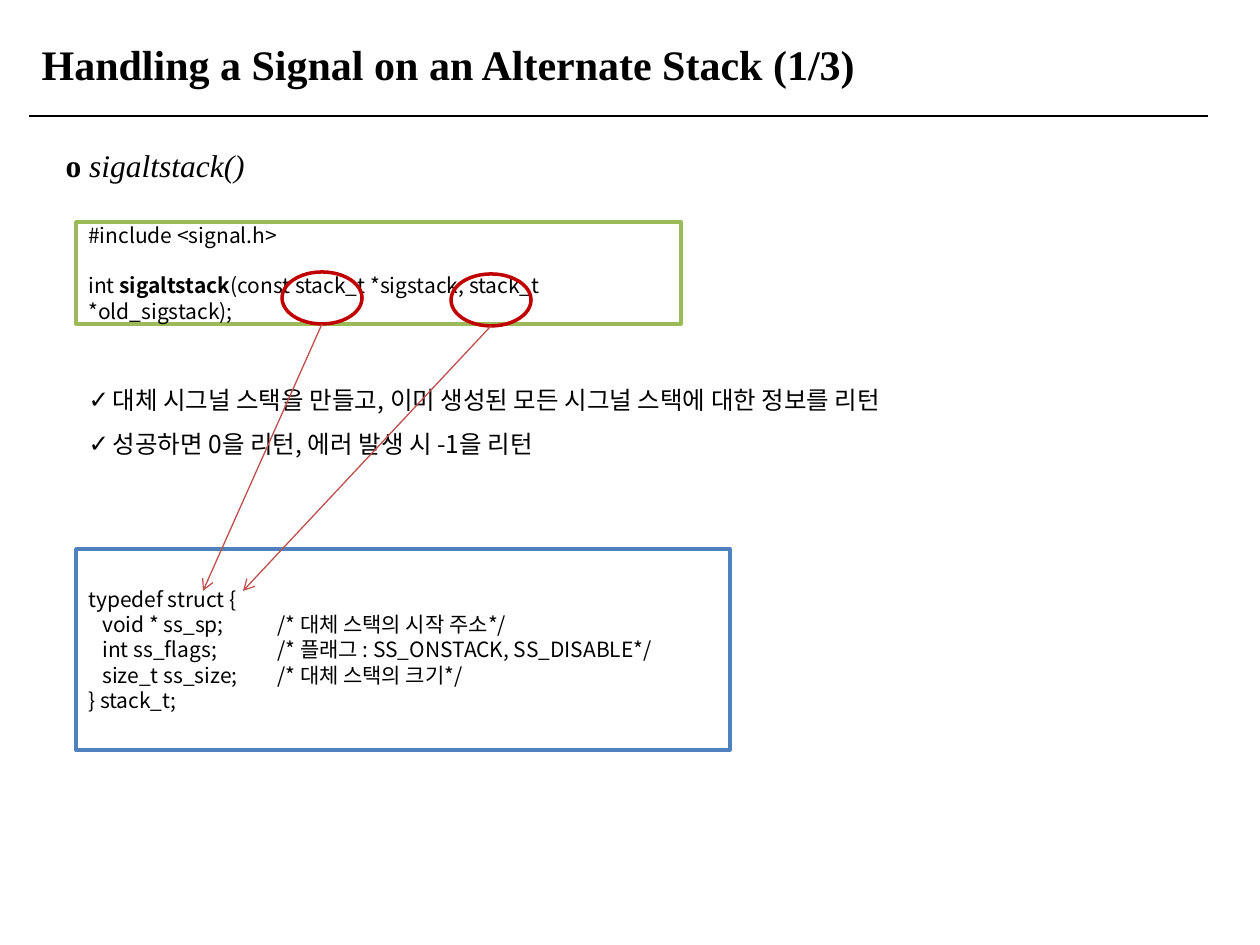
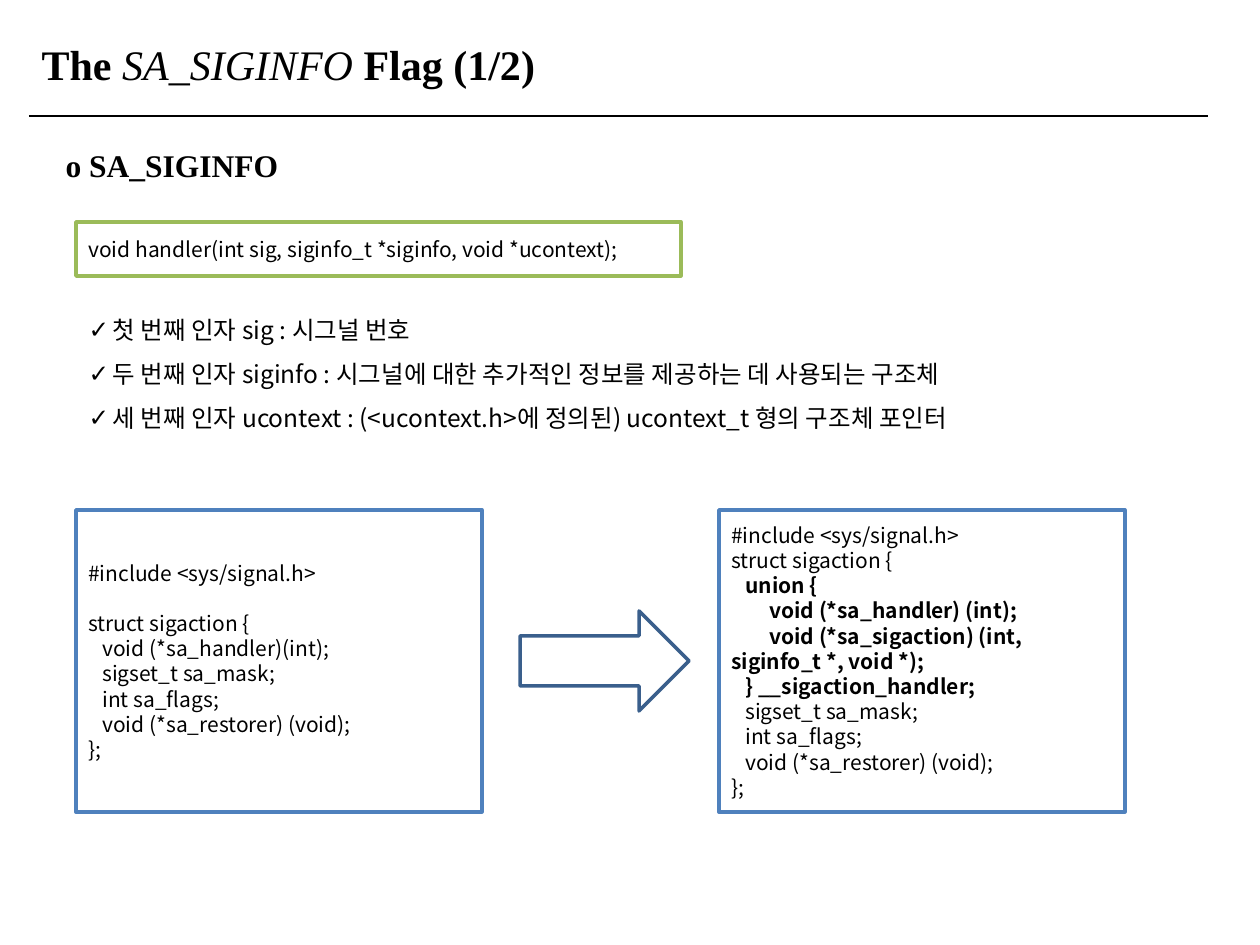
from dataclasses import dataclass
from typing import NamedTuple

from lxml import etree
from pptx import Presentation
from pptx.dml.color import RGBColor
from pptx.enum.shapes import MSO_CONNECTOR, MSO_SHAPE
from pptx.enum.text import MSO_ANCHOR, MSO_AUTO_SIZE, PP_ALIGN
from pptx.oxml.ns import qn
from pptx.util import Emu, Pt

RECT, OVAL, ARROW = MSO_SHAPE.RECTANGLE, MSO_SHAPE.OVAL, MSO_SHAPE.RIGHT_ARROW
STRAIGHT = MSO_CONNECTOR.STRAIGHT
TOP, MIDDLE = MSO_ANCHOR.TOP, MSO_ANCHOR.MIDDLE
LEFT, FIXED = PP_ALIGN.LEFT, MSO_AUTO_SIZE.NONE
SCALE = 914400 / 126  # EMU in one px


@dataclass(frozen=True)
class Theme:
    serif: str = "Times New Roman"
    sans: str = "Noto Sans CJK KR"
    ink: str = "000000"
    paper: str = "FFFFFF"
    green: str = "9BBB59"
    blue: str = "4F81BD"
    navy: str = "3A5F8C"
    ring: str = "C00000"
    red: str = "C0504D"
    title: int = 24
    head: int = 18
    item: int = 14
    code: int = 12
    item_step: float = 25.2
    code_step: float = 14.4
    thick: float = 2
    thin: float = 0.75


THEME = Theme()


class Box(NamedTuple):
    x: int
    y: int
    w: int
    h: int


class Run(NamedTuple):
    text: str
    bold: bool = False
    slant: bool = False


class Line(NamedTuple):
    runs: list[Run]
    dent: int = 0      # first-line indent in px
    gap: bool = False  # one free line above


class Style(NamedTuple):
    font: str
    size: int
    step: object  # line spacing: factor or points
    hang: int = 0
    mark: str = ""


TITLE = Style(THEME.serif, THEME.title, 1.0)
HEAD = Style(THEME.serif, THEME.head, 1.2)
ITEM = Style(THEME.sans, THEME.item, Pt(THEME.item_step), 24, "✓")
CODE = Style(THEME.sans, THEME.code, Pt(THEME.code_step))

TITLE_BOX = Box(29, 32, 1231, 63)
HEAD_BOX = Box(53, 132, 1182, 54)
RULE = (29, 116, 1208, 116)
EDGE = 76
STEP, DEEP = 14, 38  # code indents


def px(val: float) -> Emu:
    return Emu(round(val * SCALE))


def put(obj, **vals) -> None:
    for key, val in vals.items():
        setattr(obj, key, val)


def color(code: str) -> RGBColor:
    return RGBColor.from_string(code)


def line(text: str, dent: int = 0, bold: bool = False, gap: bool = False) -> Line:
    return Line([Run(text, bold)], dent, gap)


# Text
def write(frame, lines: list[Line], style: Style, anchor=TOP) -> None:
    put(frame, word_wrap=True, auto_size=FIXED, vertical_anchor=anchor)
    for num, row in enumerate(lines):
        para = frame.add_paragraph() if num else frame.paragraphs[0]
        put(para, alignment=LEFT, line_spacing=style.step, space_after=Pt(0),
            space_before=Pt(THEME.code_step if row.gap else 0))
        props = para._p.get_or_add_pPr()
        props.set("marL", str(px(style.hang)))
        props.set("indent", str(px(row.dent - style.hang)))
        if style.mark:
            etree.SubElement(props, qn("a:buChar")).set("char", style.mark)
        else:
            etree.SubElement(props, qn("a:buNone"))
        for part in row.runs:
            run = para.add_run()
            run.text = part.text
            put(run.font, name=style.font, size=Pt(style.size),
                bold=part.bold, italic=part.slant)
            run.font.color.rgb = color(THEME.ink)
            east = etree.SubElement(run.font._element, qn("a:ea"))
            east.set("typeface", style.font)


def place(shape, box: Box) -> None:
    put(shape, left=px(box.x), top=px(box.y), width=px(box.w), height=px(box.h))


# Shapes and lines
def draw(slide, kind, box: Box, edge: str, fill: str = ""):
    shape = slide.shapes.add_shape(kind, *map(px, box))
    shape.shadow.inherit = False
    if fill:
        shape.fill.solid()
        shape.fill.fore_color.rgb = color(fill)
    else:
        shape.fill.background()
    shape.line.color.rgb = color(edge)
    shape.line.width = Pt(THEME.thick)
    return shape


def panel(slide, box: Box, edge: str, lines: list[Line]) -> None:
    shape = draw(slide, RECT, box, edge, THEME.paper)
    write(shape.text_frame, lines, CODE, MIDDLE)


def link(slide, ends: tuple[int, int, int, int], tint: str, head: bool = False) -> None:
    wire = slide.shapes.add_connector(STRAIGHT, *map(px, ends))
    wire.line.color.rgb = color(tint)
    wire.line.width = Pt(THEME.thin)
    props = wire.element.spPr
    if head:
        tip = etree.SubElement(props.find(qn("a:ln")), qn("a:tailEnd"))
        tip.set("type", "arrow")
    etree.SubElement(props, qn("a:effectLst"))


# Shared frame: title, heading, rule and check list
def start(deck, title: list[Run], head: list[Run], items: list[str], spot: Box):
    slide = deck.slides.add_slide(deck.slide_layouts[3])
    name, lead, body = slide.placeholders
    parts = [
        (name, TITLE_BOX, [Line(title)], TITLE),
        (lead, HEAD_BOX, [Line(head)], HEAD),
        (body, spot, [line(text) for text in items], ITEM),
    ]
    for shape, box, lines, style in parts:
        place(shape, box)
        write(shape.text_frame, lines, style)
    link(slide, RULE, THEME.ink)
    return slide


def stack(deck) -> None:
    slide = start(
        deck,
        [Run("Handling a Signal on an Alternate Stack (1/3)", True)],
        [Run("o ", True), Run("sigaltstack()", slant=True)],
        ["대체 시그널 스택을 만들고, 이미 생성된 모든 시그널 스택에 대한 정보를 리턴",
         "성공하면 0을 리턴, 에러 발생 시 -1을 리턴"],
        Box(EDGE, 364, 992, 96))
    panel(slide, Box(EDGE, 222, 605, 102), THEME.green, [
        line("#include <signal.h>"),
        Line([Run("int "), Run("sigaltstack", True),
              Run("(const stack_t *sigstack, stack_t *old_sigstack);")], gap=True),
    ])
    panel(slide, Box(EDGE, 549, 654, 201), THEME.blue, [
        line("typedef struct {"),
        line("void * ss_sp;\t/* 대체 스택의 시작 주소*/", STEP),
        line("int ss_flags;\t/* 플래그 : SS_ONSTACK, SS_DISABLE*/", STEP),
        line("size_t ss_size;\t/* 대체 스택의 크기*/", STEP),
        line("} stack_t;"),
    ])
    # Rings around the type, each pointing at its definition
    for ring, goal in ((Box(282, 272, 80, 52), 203), (Box(451, 274, 80, 52), 243)):
        draw(slide, OVAL, ring, THEME.ring)
        foot = (ring.x + ring.w // 2, ring.y + ring.h)
        link(slide, (*foot, goal, 591), THEME.red, head=True)


def flag(deck) -> None:
    slide = start(
        deck,
        [Run("The ", True), Run("SA_SIGINFO ", slant=True), Run("Flag (1/2)", True)],
        [Run("o SA_SIGINFO", True)],
        ["첫 번째 인자 sig : 시그널 번호",
         "두 번째 인자 siginfo : 시그널에 대한 추가적인 정보를 제공하는 데 사용되는 구조체",
         "세 번째 인자 ucontext : (<ucontext.h>에 정의된) ucontext_t 형의 구조체 포인터"],
        Box(EDGE, 294, 992, 141))
    panel(slide, Box(EDGE, 222, 605, 54), THEME.green, [
        line("void handler(int sig, siginfo_t *siginfo, void *ucontext);"),
    ])
    # Struct before and after, with the fields both share
    include = line("#include <sys/signal.h>")
    tail = [
        line("sigset_t sa_mask;", STEP),
        line("int sa_flags;", STEP),
        line("void (*sa_restorer) (void);", STEP),
        line("};"),
    ]
    old = [include, line("struct sigaction {", gap=True),
           line("void (*sa_handler)(int);", STEP), *tail]
    new = [
        include,
        line("struct sigaction {"),
        line("union {", STEP, True),
        line("void (*sa_handler) (int);", DEEP, True),
        line("void (*sa_sigaction) (int, siginfo_t *, void *);", DEEP, True),
        line("} __sigaction_handler;", STEP, True),
        *tail,
    ]
    for left, lines in ((EDGE, old), (719, new)):
        panel(slide, Box(left, 510, 406, 302), THEME.blue, lines)
    draw(slide, ARROW, Box(520, 611, 169, 100), THEME.navy)


def main() -> None:
    deck = Presentation()
    put(deck, slide_width=px(1260), slide_height=px(945))
    stack(deck)
    flag(deck)
    deck.save("out.pptx")


if __name__ == "__main__":
    main()
